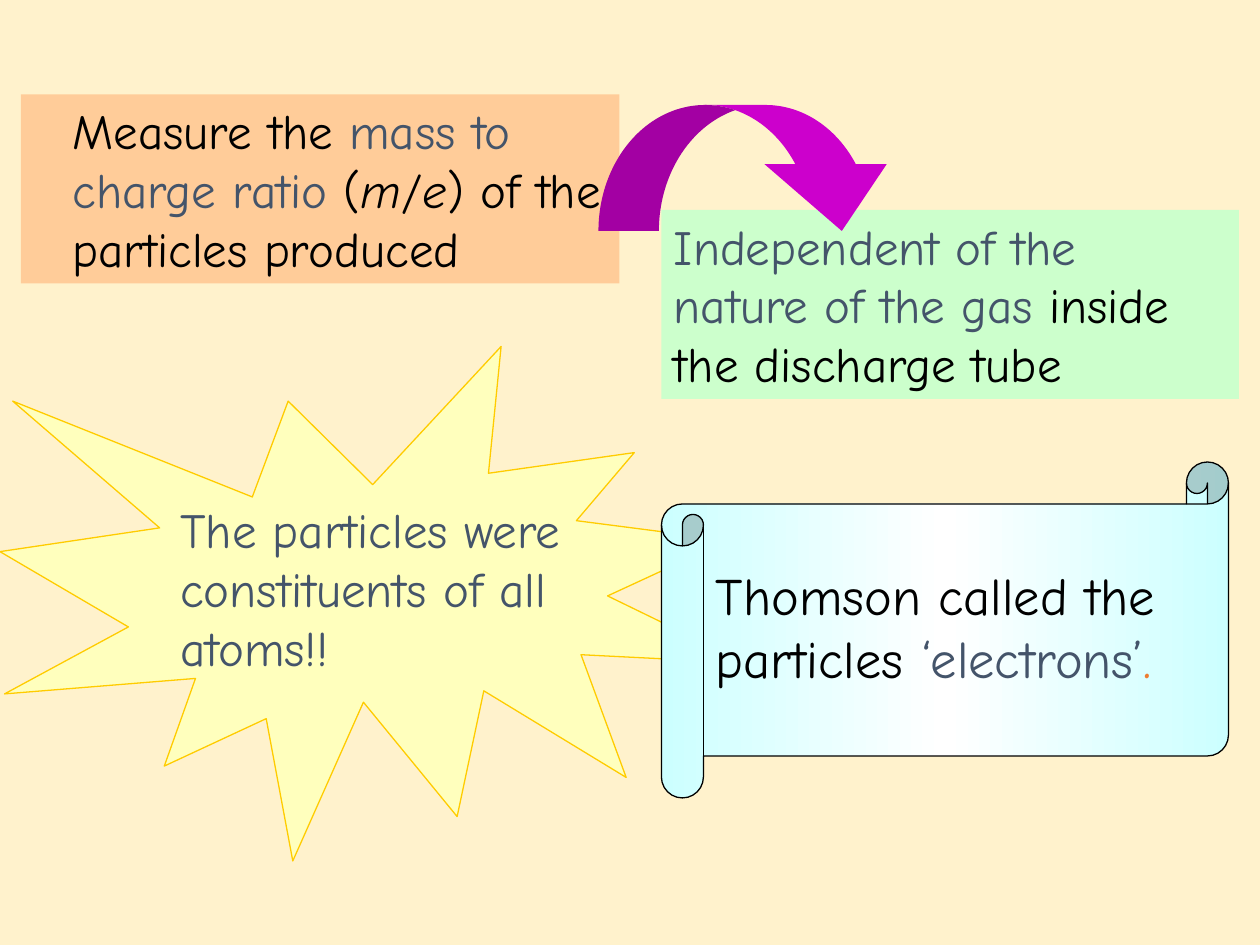
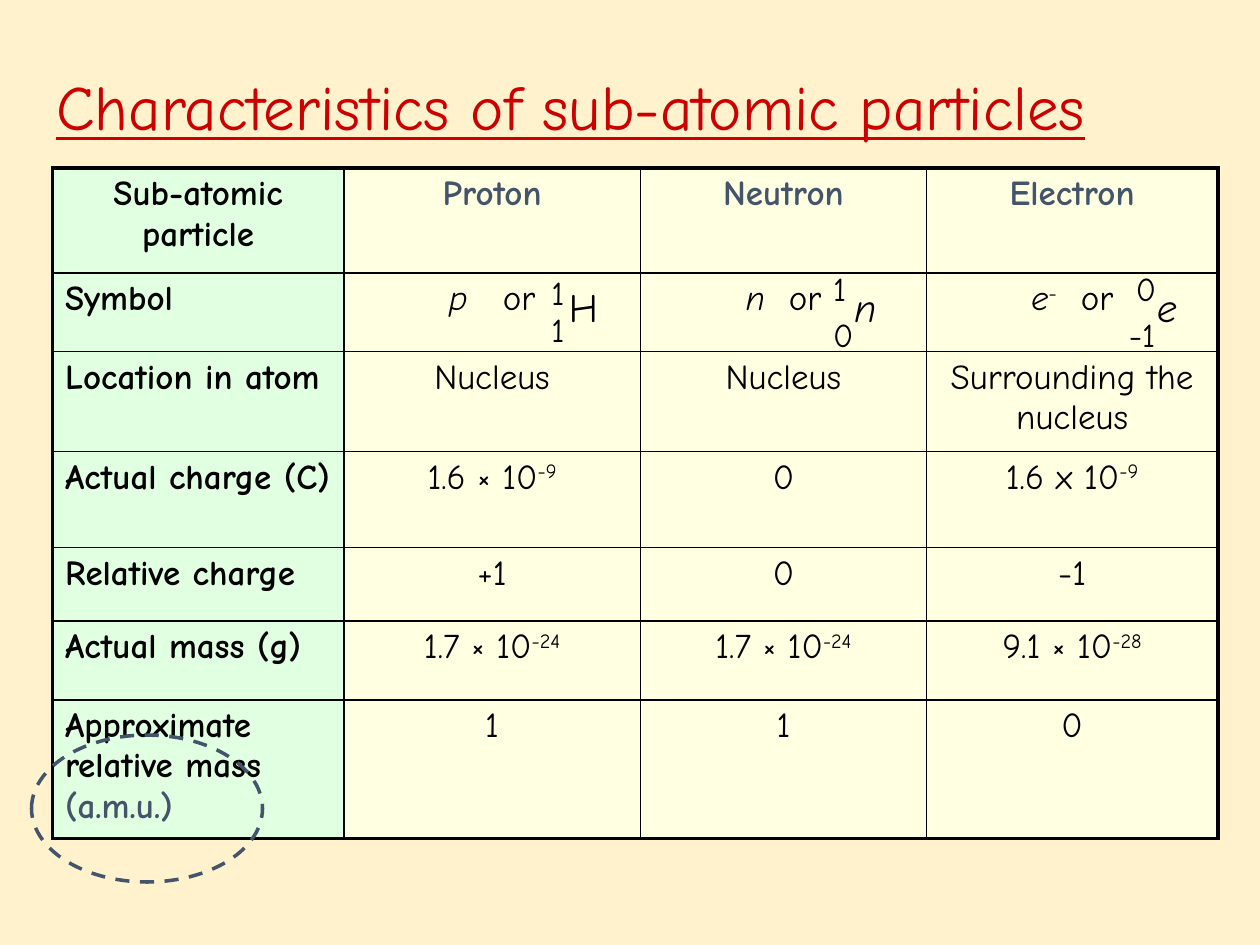
from copy import deepcopy

from lxml.etree import SubElement
from pptx import Presentation
from pptx.dml.color import RGBColor
from pptx.enum.dml import MSO_LINE
from pptx.enum.shapes import MSO_SHAPE
from pptx.enum.text import MSO_ANCHOR, PP_ALIGN
from pptx.oxml.ns import qn
from pptx.util import Pt

FONT = "Comic Neue"
CREAM = RGBColor(0xFF, 0xF2, 0xCC)
BLACK = RGBColor(0, 0, 0)
WHITE = RGBColor(0xFF, 0xFF, 0xFF)
SLATE = RGBColor(0x44, 0x54, 0x6A)
RED = RGBColor(0xCC, 0, 0)
ORANGE = RGBColor(0xED, 0x7D, 0x31)
PEACH = RGBColor(0xFF, 0xCC, 0x99)
MINT = RGBColor(0xCC, 0xFF, 0xCC)
PURPLE = RGBColor(0xCC, 0, 0xCC)
LEMON = RGBColor(0xFF, 0xFF, 0xBD)
GOLD = RGBColor(0xFF, 0xCC, 0)
AQUA = RGBColor(0xCC, 0xFF, 0xFF)
LABEL_GREEN = RGBColor(0xE1, 0xFF, 0xE1)
CELL_YELLOW = RGBColor(0xFF, 0xFF, 0xE1)

# Formats that differ from the base text
KEY = {"color": SLATE}
ITALIC = {"italic": True}
RAISED = {"raised": True}


# ---- Shared helpers ----
def add_span(para, text, size=20, color=BLACK, bold=False, italic=False,
             underline=False, raised=False, spacing=0):
    span = para.add_run()
    span.text = text
    font = span.font
    font.name, font.size, font.color.rgb = FONT, Pt(size), color
    font.bold, font.italic, font.underline = bold, italic, underline
    properties = span._r.get_or_add_rPr()
    if raised:
        properties.set("baseline", "30000")
    if spacing:
        properties.set("spc", str(round(spacing * 100)))


def fill_para(para, spans, **base):
    """Each span is plain text or a (text, format) pair."""
    for span in spans:
        text, own = (span, {}) if isinstance(span, str) else span
        add_span(para, text, **{**base, **own})


def add_text(page, box, spans, anchor=MSO_ANCHOR.TOP, **base):
    frame = page.shapes.add_textbox(*map(Pt, box)).text_frame
    frame.word_wrap = True
    frame.vertical_anchor = anchor
    fill_para(frame.paragraphs[0], spans, **base)


def add_figure(page, kind, box, fill=None, line=None, width=0.75):
    figure = page.shapes.add_shape(kind, *map(Pt, box))
    figure.shadow.inherit = False
    if fill is None:
        figure.fill.background()
    else:
        figure.fill.solid()
        figure.fill.fore_color.rgb = fill
    if line is None:
        figure.line.fill.background()
    else:
        figure.line.color.rgb = line
        figure.line.width = Pt(width)
    return figure


def add_page(deck):
    page = deck.slides.add_slide(deck.slide_layouts[6])
    page.background.fill.solid()
    page.background.fill.fore_color.rgb = CREAM
    return page


# ---- Slide 1: discovery of the electron ----
def add_statement(page, box, fill, spans, indent=0):
    left, top, width, height = box
    add_figure(page, MSO_SHAPE.RECTANGLE, box, fill)
    add_text(page, (left + indent, top, width - indent, height), spans, size=28)


def add_burst(page, box):
    left, top, _, _ = box
    add_figure(page, MSO_SHAPE.EXPLOSION1, box, LEMON, GOLD)
    add_text(page, (left + 96, top + 84, 258, 108),
             ["The particles were constituents of all atoms!!"], size=28, color=SLATE)


def add_scroll(page, box):
    left, top, _, _ = box
    scroll = add_figure(page, MSO_SHAPE.HORIZONTAL_SCROLL, box, AQUA, BLACK)
    scroll.fill.gradient()
    scroll.fill.gradient_angle = 0
    stop_list = scroll._element.spPr.find(".//" + qn("a:gsLst"))
    stop_list.append(deepcopy(stop_list[0]))
    for stop, position, color in zip(scroll.fill.gradient_stops, (0, 0.5, 1),
                                     (AQUA, WHITE, AQUA)):
        stop.position, stop.color.rgb = position, color
    add_text(page, (left + 24, top + 54, 294, 79),
             ["Thomson called the particles ", ("‘electrons’", KEY),
              (".", {"color": ORANGE})], size=30)


def build_discovery(deck):
    page = add_page(deck)
    add_statement(page, (12, 54, 342, 108), PEACH,
                  ["Measure the ", ("mass to charge ratio ", KEY), "(", ("m", ITALIC),
                   "/", ("e", ITALIC), ") of the particles produced"], indent=22.5)
    add_statement(page, (378, 120, 330, 108), MINT,
                  [("Independent of the nature of the gas ", KEY),
                   "inside the discharge tube"])
    arrow = add_figure(page, MSO_SHAPE.CURVED_DOWN_ARROW, (342, 60, 174, 72), PURPLE)
    for index, value in enumerate((0.48, 0.97, 0.53)):
        arrow.adjustments[index] = value
    add_burst(page, (0, 198, 426, 294))
    add_scroll(page, (378, 264, 324, 192))


# ---- Slide 2: table of particles ----
COLUMN_WIDTHS = (166.5, 169.5, 163.5, 166.5)
ROW_HEIGHTS = (60, 45, 57, 55, 42, 45, 79)


def symbol(letter, gap, *after):
    """Particle letter followed by a widened space and 'or'."""
    return [(letter, ITALIC), *after, (" ", {"spacing": gap}), "or"]


def power(base, exponent):
    return [base, (exponent, RAISED)]


PARTICLE_ROWS = [
    [["Sub-atomic particle"], ["Proton"], ["Neutron"], ["Electron"]],
    [["Symbol"], symbol("p", 13.5), symbol("n", 7), symbol("e", 7, ("-", RAISED))],
    [["Location in atom"], ["Nucleus"], ["Nucleus"], ["Surrounding the nucleus"]],
    [["Actual charge (C)"], power("1.6 × 10", "-9"), ["0"], power("1.6 x 10", "-9")],
    [["Relative charge"], ["+1"], ["0"], ["-1"]],
    [["Actual mass (g)"], power("1.7 × 10", "-24"), power("1.7 × 10", "-24"),
     power("9.1 × 10", "-28")],
    [["Approximate relative mass ", ("(a.m.u.)", KEY)], ["1"], ["1"], ["0"]],
]


def set_borders(cell, outer):
    """Draw all four edges; those named in outer are heavy."""
    properties = cell._tc.get_or_add_tcPr()
    for index, edge in enumerate("LRTB"):
        width = 2.25 if edge in outer else 1
        line = SubElement(properties, qn("a:ln" + edge), w=str(Pt(width)))
        paint = SubElement(line, qn("a:solidFill"))
        SubElement(paint, qn("a:srgbClr"), val=str(BLACK))
        properties.insert(index, line)


def add_particle_table(page, box):
    last_row, last_column = len(ROW_HEIGHTS) - 1, len(COLUMN_WIDTHS) - 1
    table = page.shapes.add_table(last_row + 1, last_column + 1, *map(Pt, box)).table
    table.first_row = table.horz_banding = False
    for column, width in zip(table.columns, COLUMN_WIDTHS):
        column.width = Pt(width)
    for row, height in zip(table.rows, ROW_HEIGHTS):
        row.height = Pt(height)
    for r, row in enumerate(PARTICLE_ROWS):
        for c, spans in enumerate(row):
            cell = table.cell(r, c)
            cell.fill.solid()
            cell.fill.fore_color.rgb = CELL_YELLOW if c else LABEL_GREEN
            edges = {"L": c == 0, "R": c == last_column, "T": r == 0, "B": r == last_row}
            set_borders(cell, [edge for edge, heavy in edges.items() if heavy])
            para = cell.text_frame.paragraphs[0]
            para.alignment = PP_ALIGN.LEFT if r and not c else PP_ALIGN.CENTER
            fill_para(para, spans, bold=r == 0 or c == 0,
                      color=SLATE if r == 0 and c else BLACK)


def add_nuclide(page, box, letter, mass, charge, mass_at, charge_at, italic=True):
    """Offsets of the two numbers are relative to the letter's box."""
    left, top, _, _ = box
    add_text(page, box, [letter], size=23, italic=italic)
    for number, (across, down) in ((mass, mass_at), (charge, charge_at)):
        width = 12 + 11 * len(number)
        add_text(page, (left + across, top + down, width, 30), [number], size=19)


def build_characteristics(deck):
    page = add_page(deck)
    add_text(page, (25, 33, 677, 54), ["Characteristics of sub-atomic particles"],
             MSO_ANCHOR.MIDDLE, size=36, color=RED, underline=True)
    add_particle_table(page, (30, 96, sum(COLUMN_WIDTHS), sum(ROW_HEIGHTS)))
    # Nuclide notation in the symbol row
    add_nuclide(page, (318, 158, 56, 35), "H", "1", "1", (-10, -6), (-10, 15), italic=False)
    add_nuclide(page, (481, 158, 66, 35), "n", "1", "0", (-12, -8), (-12, 18))
    add_nuclide(page, (654, 158, 66, 35), "e", "0", "-1", (-12, -8), (-16, 18))
    # Ring around the mass unit
    ring = add_figure(page, MSO_SHAPE.OVAL, (18, 420, 132, 84), line=SLATE, width=2)
    ring.line.dash_style = MSO_LINE.DASH


def main():
    deck = Presentation()
    deck.slide_width, deck.slide_height = Pt(720), Pt(540)
    build_discovery(deck)
    build_characteristics(deck)
    deck.save("out.pptx")


if __name__ == "__main__":
    main()
